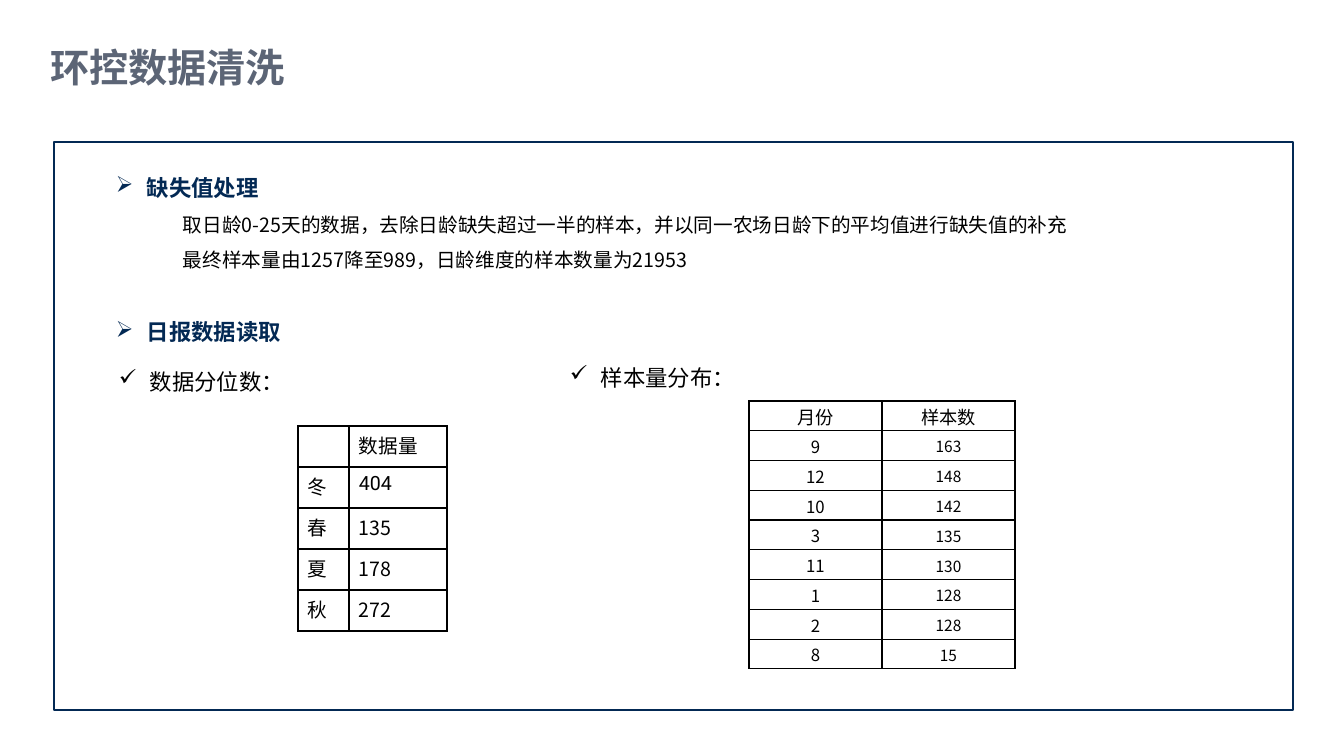
from pptx import Presentation
from pptx.dml.color import RGBColor
from pptx.enum.shapes import MSO_SHAPE
from pptx.enum.text import MSO_ANCHOR, MSO_AUTO_SIZE, PP_ALIGN
from pptx.oxml.ns import qn
from pptx.util import Emu, Pt
from lxml import etree

TOP, MIDDLE = MSO_ANCHOR.TOP, MSO_ANCHOR.MIDDLE
LEFT, CENTER, JUSTIFY = PP_ALIGN.LEFT, PP_ALIGN.CENTER, PP_ALIGN.JUSTIFY
RECTANGLE = MSO_SHAPE.RECTANGLE
NO_AUTOFIT = MSO_AUTO_SIZE.NONE

COLORS = {"title": "5C6576", "navy": "032954", "black": "000000"}
HAN, LATIN = "Noto Sans CJK SC", "Roboto"
TITLE_ONLY = 5
WIDTH, HEIGHT = 1344, 756
BULLET_INDENT = 31
LABEL_INSETS = (13, 7, 13, 7)

MONTH_ROWS = [
    ("月份", "样本数"), ("9", "163"), ("12", "148"), ("10", "142"), ("3", "135"),
    ("11", "130"), ("1", "128"), ("2", "128"), ("8", "15"),
]
SEASON_ROWS = [("", "数据量"), ("冬", "404"), ("春", "135"), ("夏", "178"), ("秋", "272")]


def px(length):
    return Emu(round(length * 12192000 / WIDTH))


def month_style(row, column):
    """Return the font size and typeface of a month table cell."""
    return (13, LATIN) if row == 0 else ((12, 11)[column], HAN)


def season_style(row, column):
    """Return the font size and typeface of a season table cell."""
    return 14, HAN if row > 1 and column == 1 else LATIN


class SlideBuilder:
    def __init__(self, page):
        self.page = page

    def style(self, paragraph, size, color="black", bold=False, align=LEFT,
              typeface=HAN, bullet=None, indent=0, line=None, before=0):
        properties = paragraph._p.get_or_add_pPr()
        if indent:
            properties.set("marL", str(px(indent)))
        properties.set("indent", str(-px(indent) if bullet else 0))
        if bullet:
            etree.SubElement(properties, qn("a:buChar")).set("char", bullet)
        paragraph.alignment = align
        if line:
            paragraph.line_spacing = Pt(line)
        if before:
            paragraph.space_before = Pt(before)
        font = paragraph.font
        font.size, font.bold, font.name = Pt(size), bold, typeface
        font.color.rgb = RGBColor.from_string(COLORS[color])
        defaults = properties.find(qn("a:defRPr"))
        etree.SubElement(defaults, qn("a:ea")).set("typeface", HAN)

    def frame(self, holder, anchor, insets):
        frame = holder.text_frame
        frame.word_wrap, frame.auto_size = True, NO_AUTOFIT
        frame.vertical_anchor = anchor
        (frame.margin_left, frame.margin_top,
         frame.margin_right, frame.margin_bottom) = map(px, insets)
        return frame

    def title(self, text, left, top, width, height):
        title = self.page.shapes.title
        title.left, title.top, title.width, title.height = map(px, (left, top, width, height))
        paragraph = self.frame(title, MIDDLE, LABEL_INSETS).paragraphs[0]
        paragraph.text = text
        self.style(paragraph, 28, "title", True)

    def text(self, lines, left, top, width, height, anchor=TOP, insets=(10, 5, 10, 5)):
        """Add a text box; each line is a text with its style settings."""
        box = self.page.shapes.add_textbox(*map(px, (left, top, width, height)))
        frame = self.frame(box, anchor, insets)
        for index, (text, settings) in enumerate(lines):
            paragraph = frame.add_paragraph() if index else frame.paragraphs[0]
            paragraph.text = text
            self.style(paragraph, **settings)

    def label(self, text, left, top):
        settings = dict(size=16, bullet="✓", indent=BULLET_INDENT)
        self.text([(text, settings)], left, top, 205, 59, MIDDLE, LABEL_INSETS)

    def outline(self, left, top, width, height):
        shape = self.page.shapes.add_shape(RECTANGLE, *map(px, (left, top, width, height)))
        shape.shadow.inherit = False
        shape.fill.background()
        shape.line.color.rgb = RGBColor.from_string(COLORS["navy"])
        shape.line.width = Pt(1)

    def border(self, cell):
        properties = cell._tc.get_or_add_tcPr()
        for position, side in enumerate(("lnL", "lnR", "lnT", "lnB")):
            line = etree.Element(qn(f"a:{side}"), w=str(Pt(1)))
            fill = etree.SubElement(line, qn("a:solidFill"))
            etree.SubElement(fill, qn("a:srgbClr")).set("val", COLORS["black"])
            properties.insert(position, line)

    def table(self, rows, left, top, widths, height, cell_style,
              align=LEFT, anchor=TOP, insets=(10, 5, 10, 5)):
        table = self.page.shapes.add_table(
            len(rows), len(widths), *map(px, (left, top, sum(widths), height))).table
        table.first_row = table.horz_banding = False
        for column, width in zip(table.columns, widths):
            column.width = px(width)
        for r, values in enumerate(rows):
            table.rows[r].height = px(height / len(rows))
            for c, value in enumerate(values):
                cell = table.cell(r, c)
                cell.fill.background()
                cell.vertical_anchor = anchor
                (cell.margin_left, cell.margin_top,
                 cell.margin_right, cell.margin_bottom) = map(px, insets)
                self.border(cell)
                paragraph = cell.text_frame.paragraphs[0]
                paragraph.text = value
                size, typeface = cell_style(r, c)
                self.style(paragraph, size, align=align, typeface=typeface)


def main():
    deck = Presentation()
    deck.slide_width, deck.slide_height = px(WIDTH), px(HEIGHT)
    slide = SlideBuilder(deck.slides.add_slide(deck.slide_layouts[TITLE_ONLY]))

    heading = dict(size=16, color="navy", bold=True, align=JUSTIFY,
                   bullet="➢", indent=BULLET_INDENT, line=28)
    detail = dict(size=14, align=JUSTIFY, indent=67, line=25)

    slide.title("环控数据清洗", 37, 31, 1239, 71)
    slide.text([
        ("缺失值处理", heading),
        ("取日龄0-25天的数据，去除日龄缺失超过一半的样本，并以同一农场日龄下的平均值进行缺失值的补充", detail),
        ("最终样本量由1257降至989，日龄维度的样本数量为21953", detail),
        ("日报数据读取", heading | {"before": 25}),
    ], 106, 157, 1139, 195)
    slide.outline(54, 142, 1239, 568)
    slide.table(MONTH_ROWS, 749, 401, (133, 133), 268, month_style,
                CENTER, MIDDLE, (1, 1, 1, 0))
    slide.label("样本量分布：", 557, 348)
    slide.label("数据分位数：", 106, 352)
    slide.table(SEASON_ROWS, 298, 426, (51, 98), 205, season_style)

    deck.save("out.pptx")


if __name__ == "__main__":
    main()
